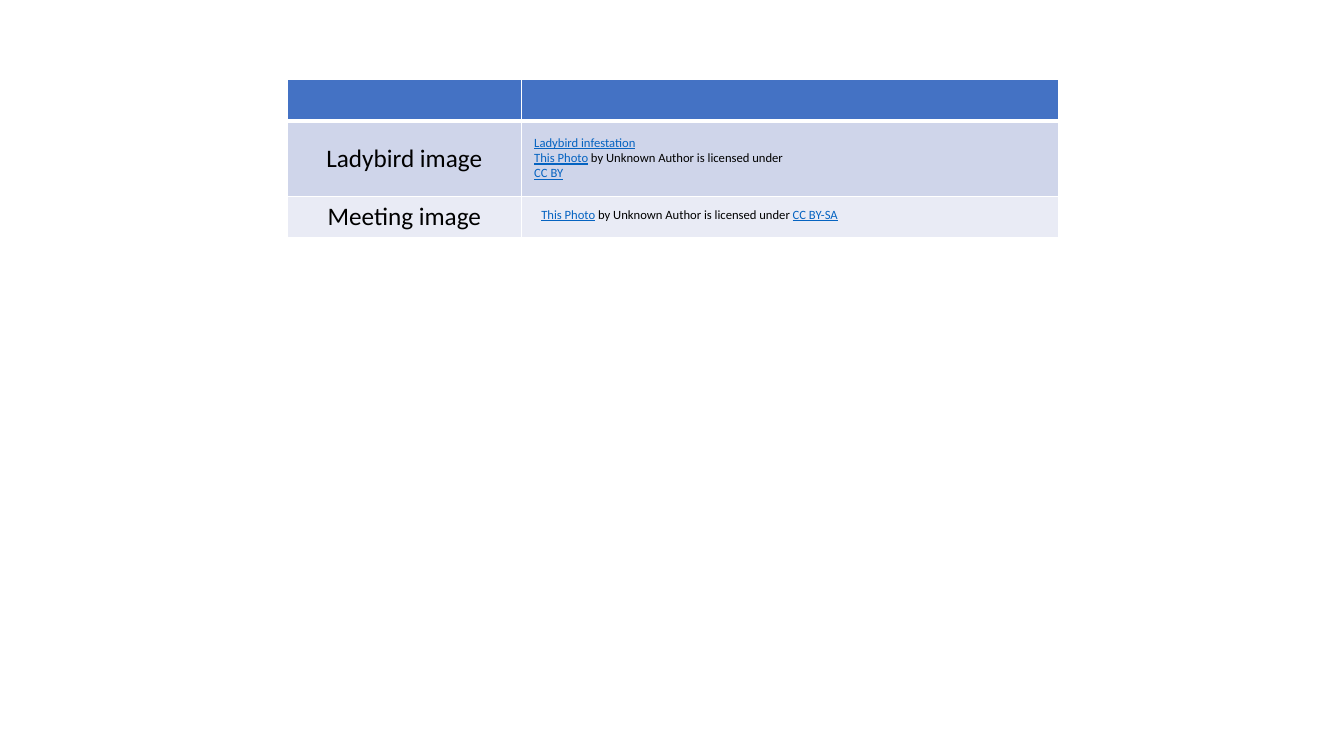
from lxml import etree
from pptx import Presentation
from pptx.dml.color import RGBColor
from pptx.enum.text import MSO_ANCHOR, MSO_AUTO_SIZE, PP_ALIGN
from pptx.oxml.ns import qn
from pptx.util import Inches, Pt

MIDDLE, TOP = MSO_ANCHOR.MIDDLE, MSO_ANCHOR.TOP
CENTER = PP_ALIGN.CENTER
GROW = MSO_AUTO_SIZE.SHAPE_TO_FIT_TEXT
BLANK_LAYOUT = 6

BLUE = RGBColor(0x44, 0x72, 0xC4)
BAND_DARK = RGBColor(0xCF, 0xD5, 0xEA)
BAND_LIGHT = RGBColor(0xE9, 0xEB, 0xF5)
LINK_BLUE = RGBColor(0x05, 0x63, 0xC1)
BLACK = RGBColor(0, 0, 0)
WHITE = RGBColor(0xFF, 0xFF, 0xFF)

LABEL = {"name": "Calibri", "size": Pt(18), "bold": False}
PLAIN = {"name": "Calibri", "size": Pt(9), "underline": False}
LINK = {"name": "Calibri", "size": Pt(9), "underline": True}


def add_span(para, text, color, font_format):
    span = para.add_run()
    span.text = text
    span.font.color.rgb = color
    for name, value in font_format.items():
        setattr(span.font, name, value)


def add_border(cell, side, points):
    line = etree.SubElement(cell._tc.get_or_add_tcPr(), qn(f"a:{side}"), w=str(Pt(points)))
    fill = etree.SubElement(line, qn("a:solidFill"))
    etree.SubElement(fill, qn("a:srgbClr"), val=str(WHITE))


deck = Presentation()
deck.slide_width, deck.slide_height = Inches(13.33), Inches(7.5)
page = deck.slides.add_slide(deck.slide_layouts[BLANK_LAYOUT])

# Table of image credits: label, fill and anchor of each row
column_widths = [2.32, 5.33]
row_heights = [0.41, 0.75, 0.41]
rows = [("", BLUE, TOP), ("Ladybird image", BAND_DARK, MIDDLE), ("Meeting image", BAND_LIGHT, TOP)]
table = page.shapes.add_table(
    len(rows), len(column_widths), Inches(2.85), Inches(0.79),
    Inches(sum(column_widths)), Inches(sum(row_heights))).table
for column, width in zip(table.columns, column_widths):
    column.width = Inches(width)

for index, (label, color, anchor) in enumerate(rows):
    table.rows[index].height = Inches(row_heights[index])
    borders = {"lnL": 1, "lnR": 1, "lnT": 3 if index == 1 else 1, "lnB": 3 if index == 0 else 1}
    for cell in table.rows[index].cells:
        for side, points in borders.items():
            add_border(cell, side, points)
        cell.fill.solid()
        cell.fill.fore_color.rgb = color
    if label:
        label_cell = table.cell(index, 0)
        label_cell.vertical_anchor = anchor
        para = label_cell.text_frame.paragraphs[0]
        para.alignment = CENTER
        add_span(para, label, BLACK, LABEL)

# Credits over the second column: box, then paragraphs of (text, is link)
licensed = " by Unknown Author is licensed under "
credits = [
    ((5.2, 1.29, 2.69, 0.56), [
        [("Ladybird infestation", True)],
        [("This Photo", True), (licensed, False), ("CC BY", True)]]),
    ((5.27, 2, 3.65, 0.25), [
        [("This Photo", True), (licensed, False), ("CC BY-SA", True)]]),
]
for place, paragraphs in credits:
    box = page.shapes.add_textbox(*map(Inches, place))
    frame = box.text_frame
    frame.word_wrap = True
    frame.auto_size = GROW
    for number, spans in enumerate(paragraphs):
        para = frame.add_paragraph() if number else frame.paragraphs[0]
        for text, is_link in spans:
            add_span(para, text, LINK_BLUE if is_link else BLACK, LINK if is_link else PLAIN)

deck.save("out.pptx")
